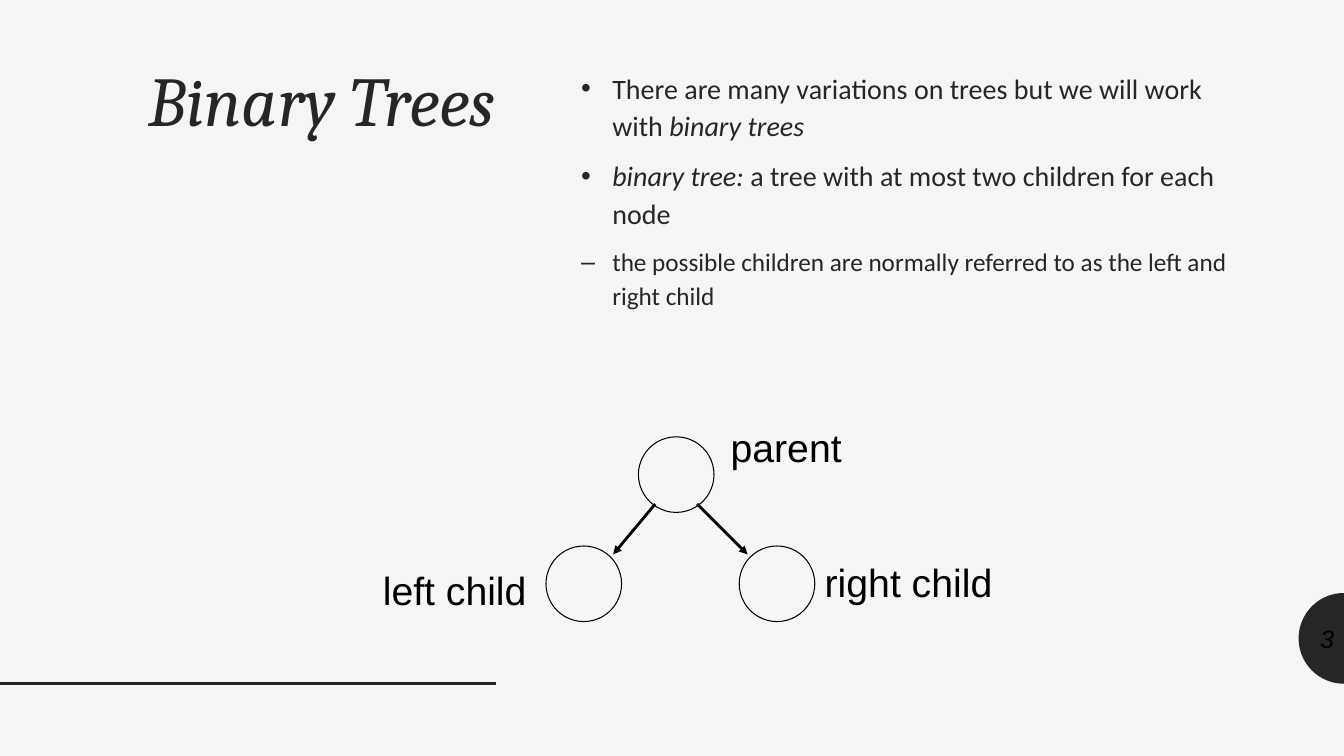
from dataclasses import dataclass
from math import cos, pi, sin

from lxml import etree
from pptx import Presentation
from pptx.dml.color import RGBColor
from pptx.enum.shapes import MSO_CONNECTOR, MSO_SHAPE
from pptx.enum.text import MSO_ANCHOR, MSO_AUTO_SIZE, PP_ALIGN
from pptx.oxml.ns import qn
from pptx.util import Inches, Pt

STRAIGHT = MSO_CONNECTOR.STRAIGHT
ELLIPSE = MSO_SHAPE.OVAL
MIDDLE, TOP = MSO_ANCHOR.MIDDLE, MSO_ANCHOR.TOP
GROW, FIXED = MSO_AUTO_SIZE.SHAPE_TO_FIT_TEXT, MSO_AUTO_SIZE.NONE
LEFT, RIGHT = PP_ALIGN.LEFT, PP_ALIGN.RIGHT

COLUMNS, ROWS = 160, 90  # each grid cell is a twelfth of an inch square
CELL = Inches(1) // 12


@dataclass(frozen=True)
class Theme:
    """Colours, fonts and sizes of the slide."""
    paper: RGBColor = RGBColor(0xF5, 0xF5, 0xF5)
    ink: RGBColor = RGBColor(0x26, 0x26, 0x26)
    black: RGBColor = RGBColor(0, 0, 0)
    title_font: str = "Cambria"
    body_font: str = "Calibri"
    label_font: str = "Arial"
    title_size: int = 50
    body_size: int = 20
    small_size: int = 18
    label_size: int = 28
    thin: float = 0.75
    thick: float = 2


def grid(*cells):
    """Turn grid cells into slide lengths."""
    return [round(cell * CELL) for cell in cells]


def apply(target, values):
    """Set every named value on the target."""
    for name, value in values.items():
        setattr(target, name, value)


class SlideBuilder:
    """Draws elements on one slide in one style."""

    def __init__(self, slide, theme):
        """Keep the slide and theme and paint the background."""
        self.slide, self.theme = slide, theme
        slide.background.fill.solid()
        slide.background.fill.fore_color.rgb = theme.paper

    def text(self, place, font, size, colour, paragraphs, frame=None):
        """Add a text box of (format, spans) paragraphs; spans are (words, italic)."""
        box = self.slide.shapes.add_textbox(*grid(*place))
        apply(box.text_frame, {"word_wrap": True, "auto_size": FIXED,
                               "vertical_anchor": TOP, **(frame or {})})
        for index, (layout, spans) in enumerate(paragraphs):
            para = box.text_frame.paragraphs[0] if index == 0 else box.text_frame.add_paragraph()
            layout = dict(layout)
            bullet = layout.pop("bullet", None)
            para_size = layout.pop("size", size)
            apply(para, layout)
            if bullet:
                self.bullet(para, bullet)
            for words, italic in spans:
                span = para.add_run()
                span.text = words
                apply(span.font, {"name": font, "size": Pt(para_size), "italic": italic})
                span.font.color.rgb = colour
        return box

    def bullet(self, para, mark):
        """Give a paragraph a hanging bullet."""
        properties = para._p.get_or_add_pPr()
        indent = Inches(0.31)
        properties.set("marL", str(indent))
        properties.set("indent", str(-indent))
        etree.SubElement(properties, qn("a:buFont"), typeface=self.theme.label_font)
        etree.SubElement(properties, qn("a:buChar"), char=mark)

    def label(self, words, place):
        """Name a node of the tree."""
        theme = self.theme
        self.text(place, theme.label_font, theme.label_size, theme.black,
                  [({"alignment": LEFT}, [(words, False)])],
                  {"word_wrap": False, "auto_size": GROW})

    def node(self, left, top, size):
        """Add an open circle."""
        circle = self.slide.shapes.add_shape(ELLIPSE, *grid(left, top, size, size))
        circle.shadow.inherit = False
        circle.fill.background()
        circle.line.color.rgb = self.theme.black
        circle.line.width = Pt(self.theme.thin)

    def line(self, start, end, colour, arrow=False):
        """Add a straight line, with an arrowhead at its end if asked."""
        connector = self.slide.shapes.add_connector(STRAIGHT, *grid(*start, *end))
        connector.line.color.rgb = colour
        connector.line.width = Pt(self.theme.thick)
        if arrow:
            etree.SubElement(connector.line._get_or_add_ln(), qn("a:tailEnd"), type="triangle")
        etree.SubElement(connector._element.spPr, qn("a:effectLst"))

    def half_disc(self, centre_x, centre_y, radius, steps=48):
        """Add a filled half disc that bulges to the left."""
        angles = [pi * step / steps for step in range(steps + 1)]
        points = [tuple(grid(centre_x - radius * sin(angle), centre_y + radius * cos(angle)))
                  for angle in angles]
        outline = self.slide.shapes.build_freeform(*points[0])
        outline.add_line_segments(points[1:], close=True)
        disc = outline.convert_to_shape()
        disc.shadow.inherit = False
        disc.fill.solid()
        disc.fill.fore_color.rgb = self.theme.ink
        disc.line.fill.background()


def main():
    """Build and save the deck."""
    deck = Presentation()
    deck.slide_width, deck.slide_height = grid(COLUMNS, ROWS)
    theme = Theme()
    page = SlideBuilder(deck.slides.add_slide(deck.slide_layouts[6]), theme)

    page.half_disc(COLUMNS, 76, 5.4)
    page.line((0, 81.4), (59, 81.4), theme.ink)
    page.text((154.6, 73.6, 5.4, 4.8), theme.label_font, theme.small_size, theme.black,
              [({"alignment": RIGHT}, [("3", True)])], {"vertical_anchor": MIDDLE})
    page.text((10, 7.3, 50.2, 65), theme.title_font, theme.title_size, theme.ink,
              [({"alignment": RIGHT, "line_spacing": 0.9}, [("Binary Trees", True)])])

    point = {"alignment": LEFT, "line_spacing": 1.12, "space_before": Pt(9), "bullet": "•"}
    subpoint = {**point, "bullet": "–", "level": 1, "size": theme.small_size}
    page.text((68, 7.4, 82, 74.2), theme.body_font, theme.body_size, theme.ink, [
        (point, [("There are many variations on trees but we will work with ", False),
                 ("binary trees", True)]),
        (point, [("binary tree: ", True),
                 ("a tree with at most two children for each node", False)]),
        (subpoint, [("the possible children are normally referred to as "
                     "the left and right child", False)]),
    ])

    for left, top in ((76, 52), (65, 65), (88, 65)):
        page.node(left, top, 9)
    for start, end in (((78, 60), (73, 66)), ((83, 60), (89, 66))):
        page.line(start, end, theme.black, arrow=True)
    for words, left, top, width in (("parent", 85.8, 49.8, 15.7),
                                    ("left child", 44.4, 66.8, 19.6),
                                    ("right child", 97, 65.9, 22.4)):
        page.label(words, (left, top, width, 6.8))

    deck.save("out.pptx")


main()
